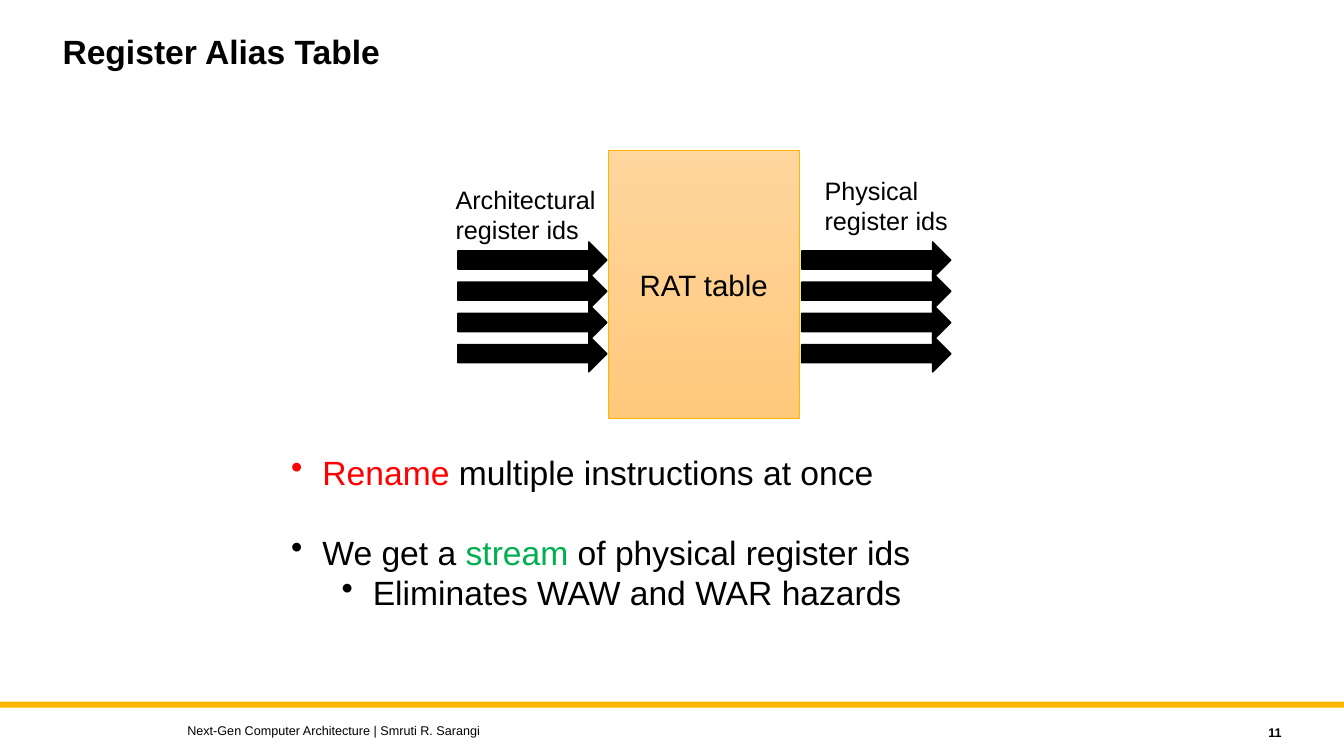
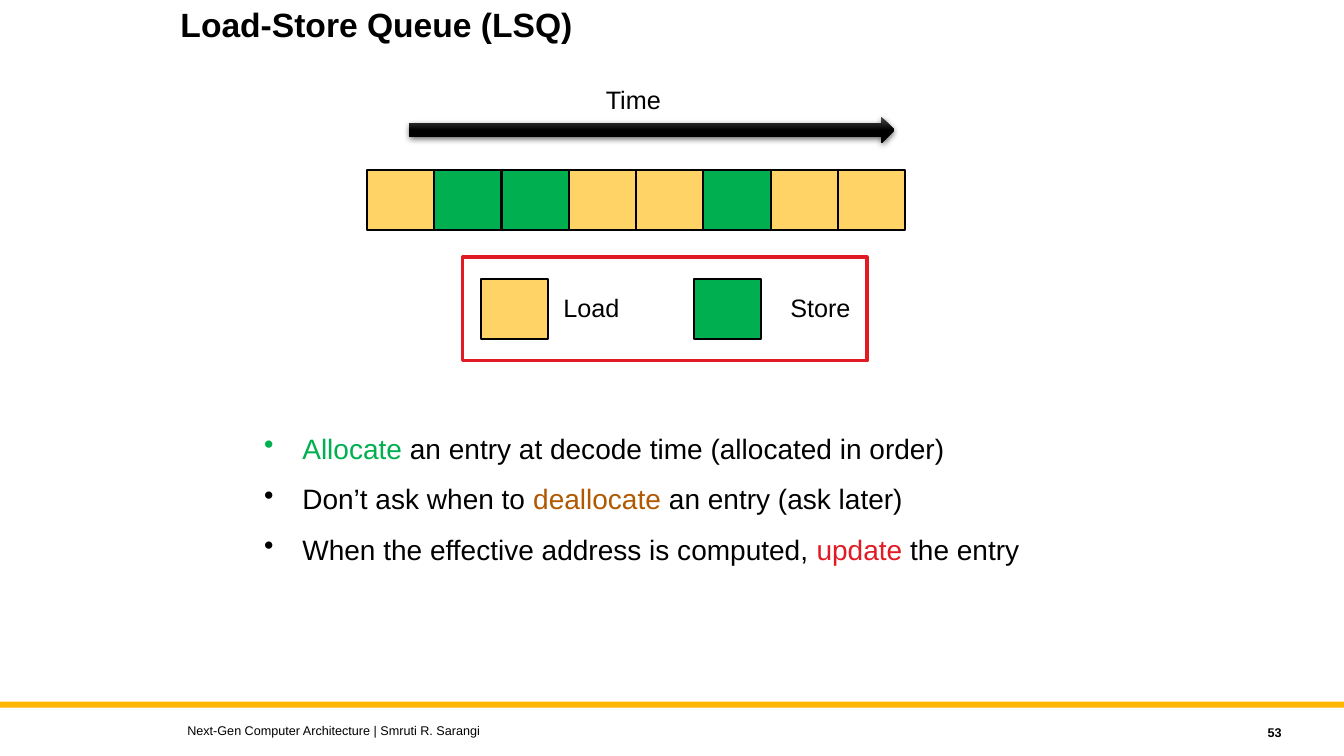
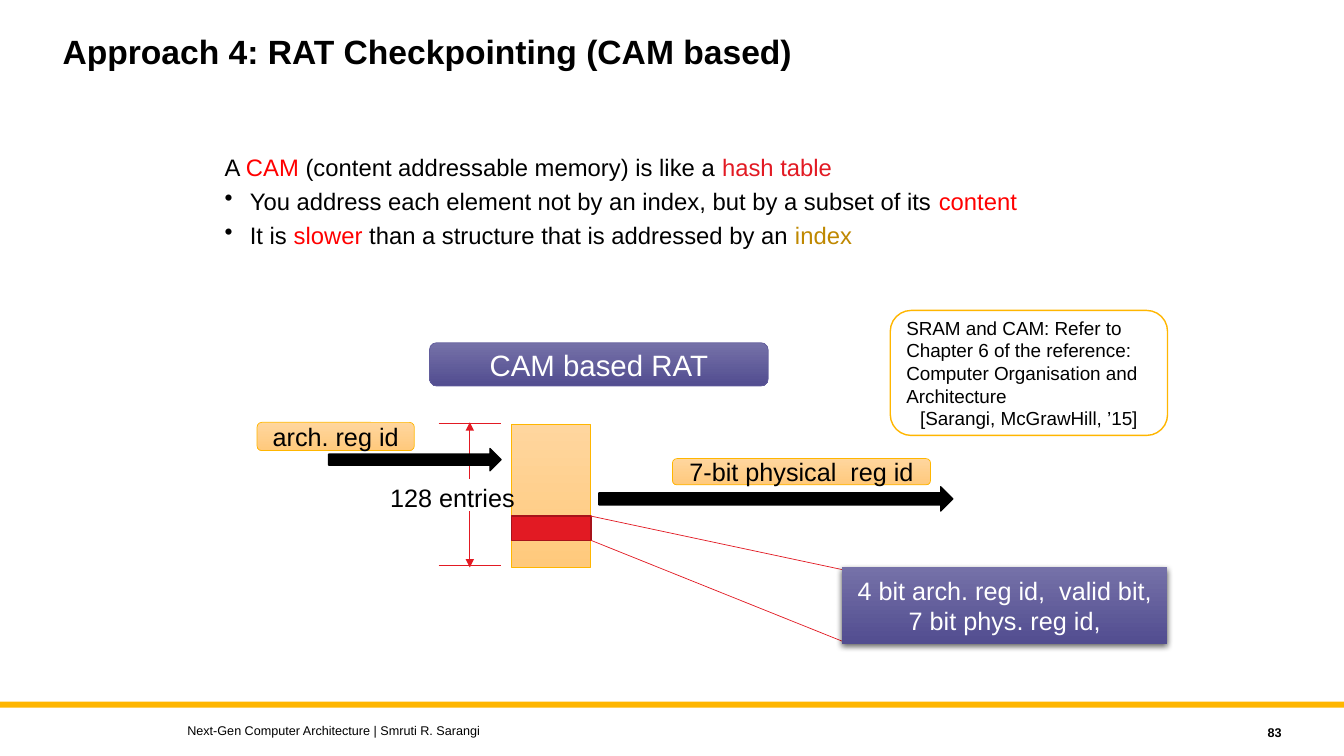
import pptx
import pptx.util
import pptx.dml.color
import pptx.enum.shapes
import pptx.enum.text
import pptx.oxml.ns
import lxml.etree

Inches = pptx.util.Inches
Pt = pptx.util.Pt
Kind = pptx.enum.shapes.MSO_SHAPE
Align = pptx.enum.text.PP_ALIGN
Anchor = pptx.enum.text.MSO_ANCHOR
qn = pptx.oxml.ns.qn

HUES = {
    "black": "000000", "white": "FFFFFF", "gold": "FFB600", "red": "FF0000",
    "rose": "E21A23", "wine": "A7131A", "green": "00B050", "sand": "FFD366",
    "brown": "B15900", "ochre": "BF8800", "violet": "625D9C",
}
# Each fade: top colour, bottom colour, place of the bottom colour.
FADES = {
    "peach": ("FFD69E", "FFC97C", 1),
    "plum": ("7571A8", "524D90", 1),
    "coal": ("4B4B4B", "000000", 0.5),
}
FONT = "Arial"
FOOTER = "Next-Gen Computer Architecture | Smruti R. Sarangi"


def rgb(name):
    return pptx.dml.color.RGBColor.from_string(HUES.get(name, name))


def sub(node, tag, **attrs):
    child = lxml.etree.SubElement(node, qn(tag))
    for key, value in attrs.items():
        child.set(key, str(value))
    return child


class Deck:
    def __init__(self):
        self.prs = pptx.Presentation()
        self.prs.slide_width, self.prs.slide_height = Inches(13.33), Inches(7.5)
        self.layout = self.prs.slide_layouts[5]
        self.slide = None

    def start(self, title, number, left=0.52, top=0.3, width=10):
        first = self.slide is None
        self.slide = self.prs.slides.add_slide(self.layout)
        if first:
            band = self.shape(Kind.RECTANGLE, 0, 6.96, 13.33, 0.06, "gold")
            self.layout.shapes.element.append(band.element)
        head = self.slide.shapes.title
        places = {"left": left, "top": top, "width": width, "height": 0.9}
        for key, value in places.items():
            setattr(head, key, Inches(value))
        self.put(head, [title], 24, bold=True, form={"line_spacing": 0.9})
        self.text(11.41, 7.14, 1.4, 0.25, [str(number)], 9, bold=True,
                  anchor=Anchor.MIDDLE, form={"alignment": Align.RIGHT})
        self.text(1.76, 7.12, 8, 0.25, [FOOTER], 9, anchor=Anchor.MIDDLE)

    def put(self, shape, paras, size, color="black", bold=False, wrap=True,
            anchor=Anchor.TOP, form=None):
        """Fill a shape; a paragraph is a string, a list of runs, or (runs, format)."""
        frame = shape.text_frame
        looks = {"word_wrap": wrap, "vertical_anchor": anchor,
                 "auto_size": pptx.enum.text.MSO_AUTO_SIZE.NONE}
        for key, value in looks.items():
            setattr(frame, key, value)
        for n, item in enumerate(paras):
            runs, own = item if isinstance(item, tuple) else (item, {})
            para = frame.add_paragraph() if n else frame.paragraphs[0]
            look = {"alignment": Align.LEFT, **(form or {}), **own}
            hang = look.pop("hang", None)
            if hang:
                self.bullet(para, *hang)
            if not n:
                look.pop("space_before", None)
            for key, value in look.items():
                setattr(para, key, value)
            for run in [runs] if isinstance(runs, str) else runs:
                words, hue = run if isinstance(run, tuple) else (run, color)
                for i, line in enumerate(words.split("\n")):
                    if i:
                        para.add_line_break()
                    part = para.add_run()
                    part.text = line
                    for key, value in {"name": FONT, "size": Pt(size), "bold": bold}.items():
                        setattr(part.font, key, value)
                    part.font.color.rgb = rgb(hue)

    def bullet(self, para, left, hang):
        props = para._p.get_or_add_pPr()
        props.set("marL", str(Inches(left)))
        props.set("indent", str(-Inches(hang)))
        sub(props, "a:buChar", char="•")

    def text(self, x, y, w, h, paras, size=18, **look):
        box = self.slide.shapes.add_textbox(Inches(x), Inches(y), Inches(w), Inches(h))
        self.put(box, paras, size, **look)

    def shape(self, kind, x, y, w, h, fill, line=None, weight=0.5, shade=False):
        item = self.slide.shapes.add_shape(kind, Inches(x), Inches(y), Inches(w), Inches(h))
        item.shadow.inherit = False
        if fill in FADES:
            top, base, end = FADES[fill]
            item.fill.gradient()
            item.fill.gradient_angle = 270
            for stop, hue, place in zip(item.fill.gradient_stops, (top, base), (0, end)):
                stop.color.rgb = rgb(hue)
                stop.position = place
        else:
            item.fill.solid()
            item.fill.fore_color.rgb = rgb(fill)
        if line:
            item.line.color.rgb = rgb(line)
            item.line.width = Pt(weight)
        else:
            item.line.fill.background()
        if shade:
            effects = item.element.spPr.find(qn("a:effectLst"))
            cast = sub(effects, "a:outerShdw", blurRad=Pt(4.5), dist=Pt(1.5),
                       dir=5400000, rotWithShape=0)
            sub(sub(cast, "a:srgbClr", val=HUES["black"]), "a:alpha", val=63000)
        return item

    def label(self, kind, x, y, w, h, fill, words, size=18, color="black",
              line=None, shade=False):
        item = self.shape(kind, x, y, w, h, fill, line, shade=shade)
        self.put(item, [words], size, color, anchor=Anchor.MIDDLE,
                 form={"alignment": Align.CENTER})

    def arrow(self, x, y, w, h):
        self.shape(Kind.RIGHT_ARROW, x, y, w, h, "black", "black", 1)

    def cell(self, x, y, fill):
        self.shape(Kind.RECTANGLE, x, y, 0.67, 0.59, fill, "black", 1.5)

    def line(self, x1, y1, x2, y2, tip=False):
        item = self.slide.shapes.add_connector(
            pptx.enum.shapes.MSO_CONNECTOR.STRAIGHT,
            Inches(x1), Inches(y1), Inches(x2), Inches(y2))
        item.line.color.rgb = rgb("rose")
        item.line.width = Pt(0.5)
        props = item.element.spPr
        if tip:
            sub(props.find(qn("a:ln")), "a:tailEnd", type="triangle")
        sub(props, "a:effectLst")


def alias(deck):
    deck.start("Register Alias Table", 11)
    deck.label(Kind.RECTANGLE, 6.03, 1.49, 1.9, 2.66, "peach", "RAT table", 21, line="gold")
    for left in (4.54, 7.95):
        for row in range(4):
            deck.arrow(left, 2.4 + 0.31 * row, 1.48, 0.36)
    deck.text(4.42, 1.78, 1.6, 0.71, ["Architectural\nregister ids"], wrap=False)
    deck.text(8.08, 1.69, 1.44, 0.71, ["Physical\nregister ids"], wrap=False)
    deck.text(2.79, 4.43, 8.63, 2.12, [
        [("Rename", "red"), " multiple instructions at once"],
        (["We get a ", ("stream", "green"), " of physical register ids"],
         {"space_before": Pt(28.5)}),
        ("Eliminates WAW and WAR hazards", {"hang": (0.81, 0.31)}),
    ], 24, form={"hang": (0.31, 0.31)})


def queue(deck):
    deck.start("Load-Store Queue (LSQ)", 53, 1.69, 0.03, 7.5)
    deck.text(2.52, 4.23, 8.72, 2.6, [
        [("Allocate", "green"), " an entry at decode time (allocated in order)"],
        ["Don’t ask when to ", ("deallocate ", "brown"), "an entry (ask later)"],
        ["When the effective address is computed, ", ("update", "rose"), " the entry"],
    ], 20, form={"hang": (0.38, 0.38), "space_before": Pt(12)})

    fills = {"L": "sand", "S": "green"}
    order = "LSSLLSLL"
    first, last = 3.64, 8.31
    step = (last - first) / (len(order) - 1)
    for n, kind in enumerate(order):
        deck.cell(first + step * n, 1.69, fills[kind])
    deck.shape(Kind.RIGHT_ARROW, 4.06, 1.16, 4.81, 0.26, "coal", shade=True)
    deck.text(5.91, 0.79, 0.75, 0.4, ["Time"], wrap=False)

    deck.shape(Kind.RECTANGLE, 4.59, 2.55, 4.01, 1.03, "white", "rose", 2.25)
    for word, box, left in (("Load", 4.77, 5.49), ("Store", 6.88, 7.74)):
        deck.cell(box, 2.77, fills[word[0]])
        deck.text(left, 2.85, 1, 0.4, [word])


def check(deck):
    deck.start("Approach 4: RAT Checkpointing (CAM based)", 83)
    point = {"hang": (0.25, 0.25), "space_before": Pt(8)}
    deck.text(2.13, 1.52, 8.62, 1.06, [
        ["A ", ("CAM", "red"), " (content addressable memory) is like a ",
         ("hash table", "rose")],
        (["You address each element not by an index, but by a subset of its ",
          ("content", "red")], point),
        (["It is ", ("slower", "red"), " than a structure that is addressed by an ",
          ("index", "ochre")], point),
    ], 17, form={"line_spacing": 0.8})

    deck.label(Kind.ROUNDED_RECTANGLE, 4.26, 3.4, 3.36, 0.43, "plum", "CAM based RAT",
               21, "white", "violet")
    deck.shape(Kind.RECTANGLE, 5.07, 4.21, 0.79, 1.42, "peach", "gold")
    for y in (4.2, 5.61):
        deck.line(4.35, y, 4.97, y)
    deck.text(3.77, 4.74, 1.45, 0.4, ["128 entries"], wrap=False)
    for start, end in ((4.75, 4.19), (5.07, 5.63)):
        deck.line(4.66, start, 4.66, end, tip=True)

    deck.arrow(3.26, 4.45, 1.71, 0.22)
    deck.arrow(5.94, 4.83, 3.51, 0.24)
    for x, y, w, h, words in ((2.55, 4.19, 1.56, 0.28, "arch. reg id"),
                              (6.67, 4.55, 2.56, 0.26, "7-bit physical  reg id")):
        deck.label(Kind.ROUNDED_RECTANGLE, x, y, w, h, "peach", words, line="gold")

    deck.shape(Kind.RECTANGLE, 5.07, 5.12, 0.79, 0.24, "rose", "wine", 1)
    for start, end in ((5.12, 5.65), (5.36, 6.36)):
        deck.line(5.86, start, 8.35, end)
    deck.label(Kind.RECTANGLE, 8.35, 5.63, 3.23, 0.76, "plum",
               "4 bit arch. reg id,  valid bit, 7 bit phys. reg id,",
               color="white", shade=True)

    note = deck.shape(Kind.ROUNDED_RECTANGLE, 8.83, 3.08, 2.75, 1.24, "white", "gold", 1)
    deck.put(note, [
        "SRAM and CAM: Refer to Chapter 6 of the reference: "
        "Computer Organisation and Architecture",
        ("[Sarangi, McGrawHill, ’15]", {"alignment": Align.CENTER}),
    ], 13.5, anchor=Anchor.MIDDLE)


def main():
    deck = Deck()
    for build in (alias, queue, check):
        build(deck)
    deck.prs.save("out.pptx")


if __name__ == "__main__":
    main()
